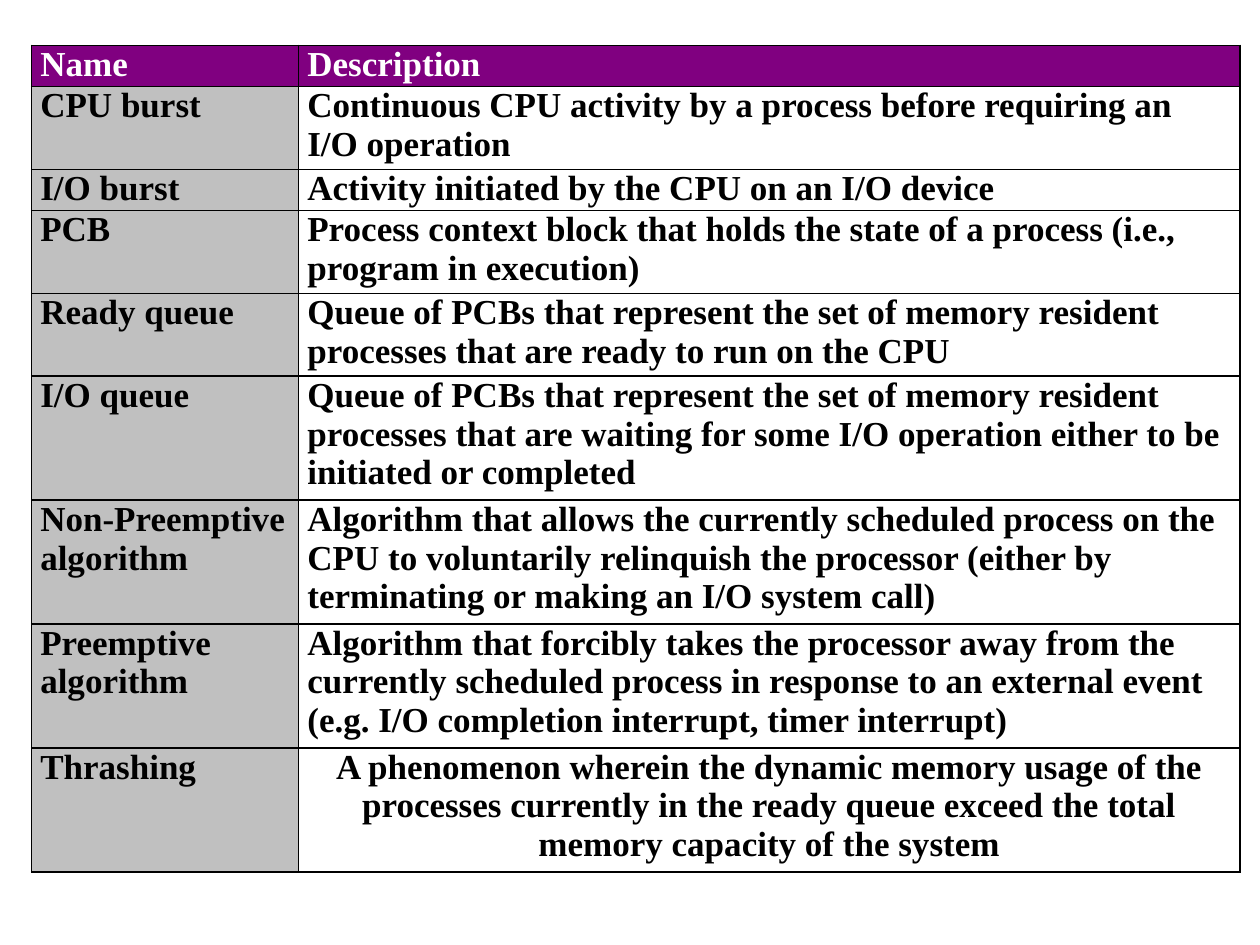
from dataclasses import dataclass

from pptx import Presentation
from pptx import util as u
from pptx.dml.color import RGBColor
from pptx.enum import text
from pptx.oxml import ns, xmlchemy


@dataclass(frozen=True)
class Theme:
    """Colours and type of the glossary."""

    font: str = "Times New Roman"
    size: int = 20
    ink: str = "000000"
    paper: str = "FFFFFF"
    header: str = "800080"
    term: str = "C0C0C0"


THEME = Theme()
LEFT, TOP, TABLE_HEIGHT = 0.25, 0.36, 6.56
COLUMN_WIDTHS = (2.12, 7.47)
HEADINGS = ("Name", "Description")
GLOSSARY = (
    ("CPU burst", "Continuous CPU activity by a process before requiring an I/O operation", 2),
    ("I/O burst", "Activity initiated by the CPU on an I/O device", 1),
    ("PCB", "Process context block that holds the state of a process "
            "(i.e., program in execution)", 2),
    ("Ready queue", "Queue of PCBs that represent the set of memory resident "
                    "processes that are ready to run on the CPU", 2),
    ("I/O queue", "Queue of PCBs that represent the set of memory resident processes "
                  "that are waiting for some I/O operation either to be initiated or completed", 3),
    ("Non-Preemptive algorithm",
     "Algorithm that allows the currently scheduled process on the CPU to voluntarily "
     "relinquish the processor (either by terminating or making an I/O system call)", 3),
    ("Preemptive algorithm",
     "Algorithm that forcibly takes the processor away from the currently scheduled process "
     "in response to an external event (e.g. I/O completion interrupt, timer interrupt)", 3),
    ("Thrashing",
     "A phenomenon wherein the dynamic memory usage of the processes currently in the "
     "ready queue exceed the total memory capacity of the system", 3),
)


def add_borders(cell, color=THEME.ink, width=1):
    """Draw a solid line on every side of a cell, before its fill is set."""
    properties = cell._tc.get_or_add_tcPr()
    for side in ("lnL", "lnR", "lnT", "lnB"):
        line = xmlchemy.OxmlElement(f"a:{side}")
        line.set("w", str(u.Pt(width)))
        fill = xmlchemy.OxmlElement("a:solidFill")
        shade = xmlchemy.OxmlElement("a:srgbClr")
        shade.set("val", color)
        fill.append(shade)
        line.append(fill)
        properties.append(line)


def add_tab_stop(paragraph, position):
    """Add one left tab stop to a paragraph."""
    stops = xmlchemy.OxmlElement("a:tabLst")
    stop = xmlchemy.OxmlElement("a:tab")
    stop.set("pos", str(u.Inches(position)))
    stop.set("algn", "l")
    stops.append(stop)
    paragraph._p.get_or_add_pPr().append(stops)


def write_text(frame, words, color=THEME.ink, align=text.PP_ALIGN.LEFT):
    """Write one bold paragraph in a text frame."""
    paragraph = frame.paragraphs[0]
    add_tab_stop(paragraph, 1.42)
    paragraph.alignment = align
    run = paragraph.add_run()
    run.text = words
    run.font.name = THEME.font
    run.font.size = u.Pt(THEME.size)
    run.font.bold = True
    run.font.color.rgb = RGBColor.from_string(color)


def fill_cell(cell, words, fill, **text_format):
    """Give a cell its margins, borders, fill and text."""
    cell.margin_left = cell.margin_right = u.Inches(0.07)
    cell.margin_top = cell.margin_bottom = 0
    add_borders(cell)
    if fill:
        cell.fill.solid()
        cell.fill.fore_color.rgb = RGBColor.from_string(fill)
    else:
        cell.fill.background()
    write_text(cell.text_frame, words, **text_format)


def add_glossary(slide):
    """Add the table, with each row as high as its number of text lines."""
    line_counts = [1] + [lines for _, _, lines in GLOSSARY]
    table = slide.shapes.add_table(
        len(line_counts), len(COLUMN_WIDTHS), u.Inches(LEFT), u.Inches(TOP),
        u.Inches(sum(COLUMN_WIDTHS)), u.Inches(TABLE_HEIGHT)).table
    table.horz_banding = False
    for column, width in zip(table.columns, COLUMN_WIDTHS):
        column.width = u.Inches(width)
    for row, lines in zip(table.rows, line_counts):
        row.height = u.Inches(TABLE_HEIGHT * lines / sum(line_counts))
    for index, heading in enumerate(HEADINGS):
        fill_cell(table.cell(0, index), heading, THEME.header, color=THEME.paper)
    for index, (term, description, _) in enumerate(GLOSSARY, start=1):
        is_last = index == len(GLOSSARY)
        align = text.PP_ALIGN.CENTER if is_last else text.PP_ALIGN.LEFT
        fill_cell(table.cell(index, 0), term, THEME.term)
        fill_cell(table.cell(index, 1), description, None, align=align)


def main():
    """Build the glossary slide."""
    presentation = Presentation()
    presentation.slide_width = u.Inches(10)
    presentation.slide_height = u.Inches(7.5)
    slide = presentation.slides.add_slide(presentation.slide_layouts[6])
    add_glossary(slide)
    presentation.save("out.pptx")


if __name__ == "__main__":
    main()
